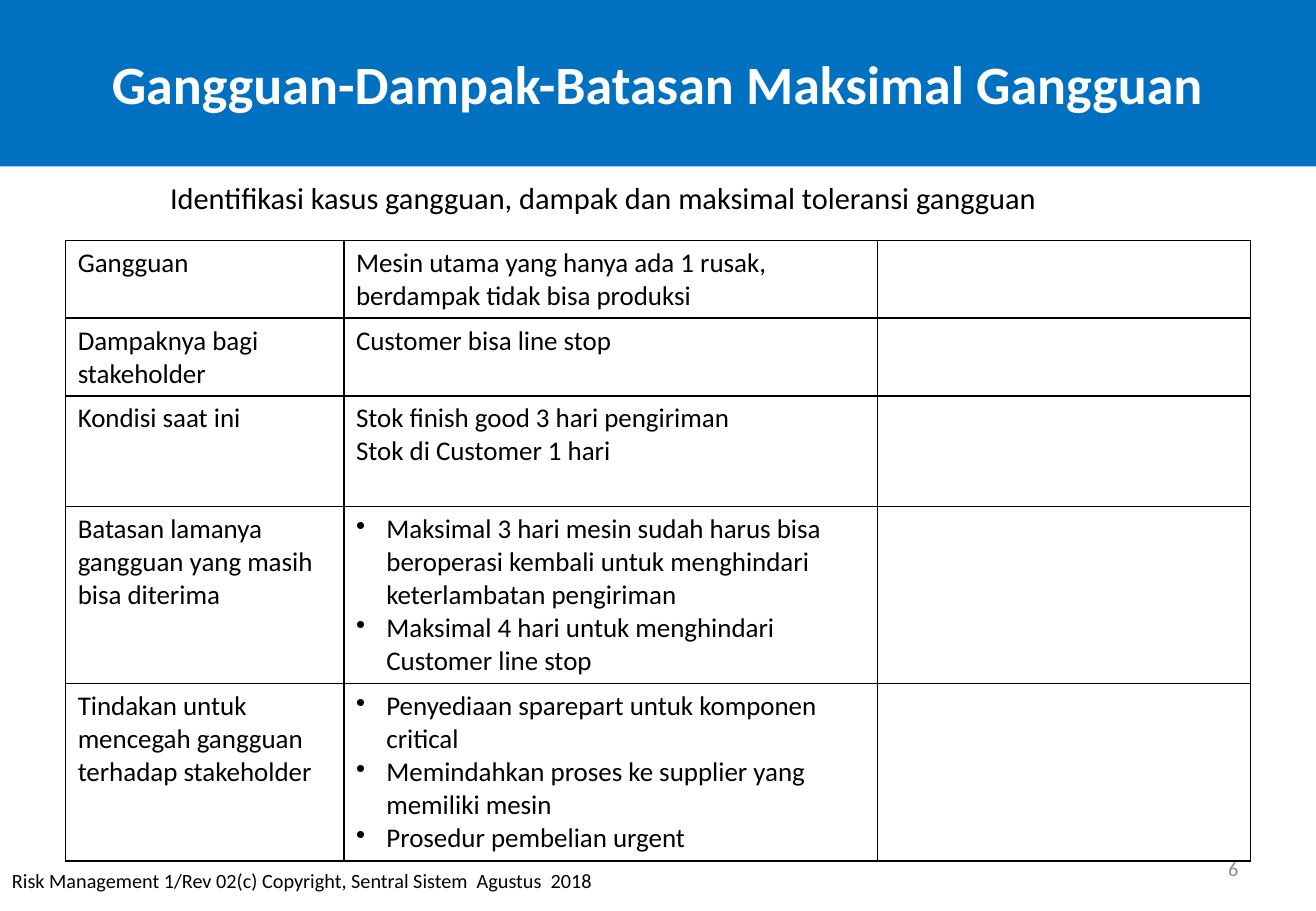
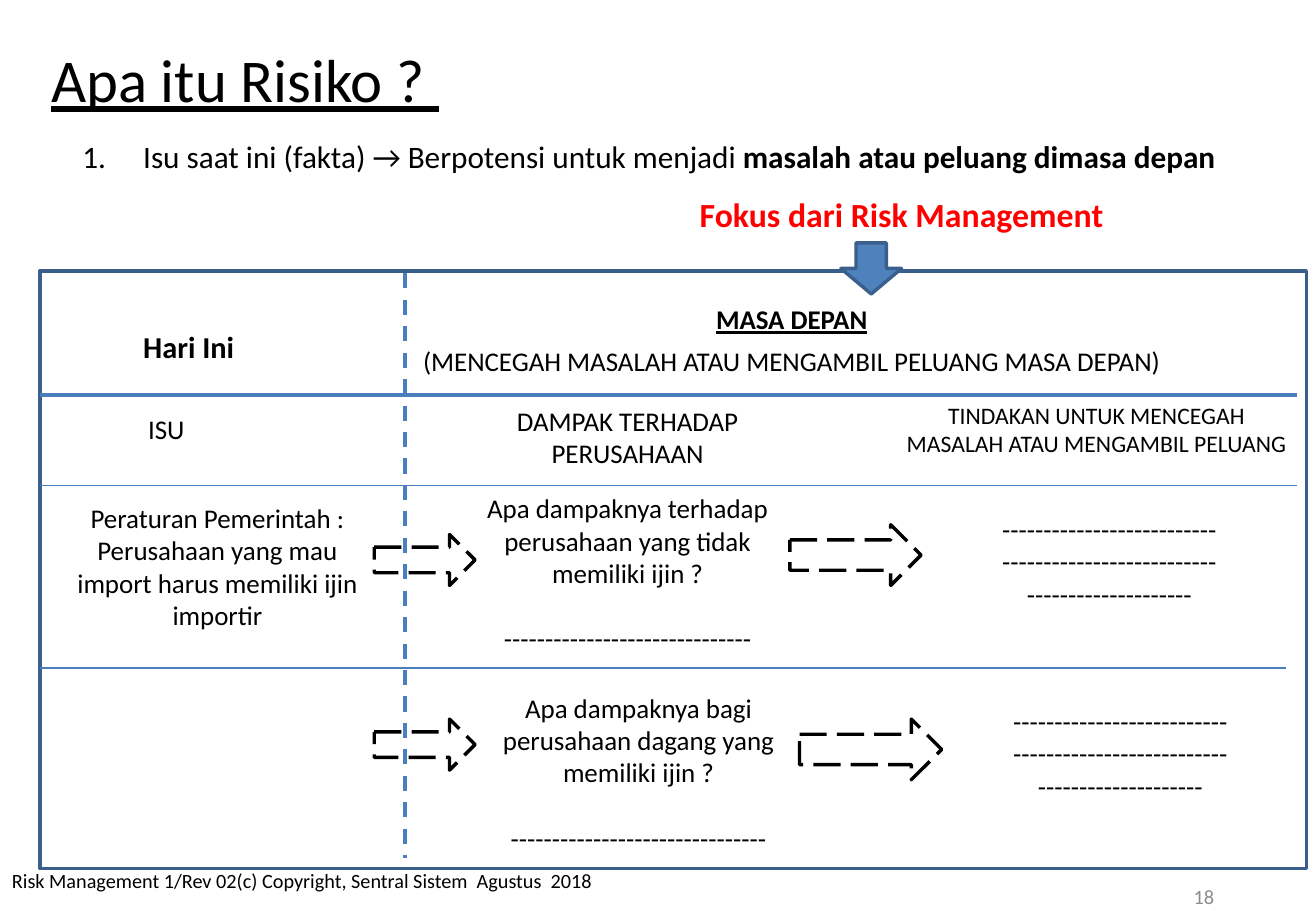
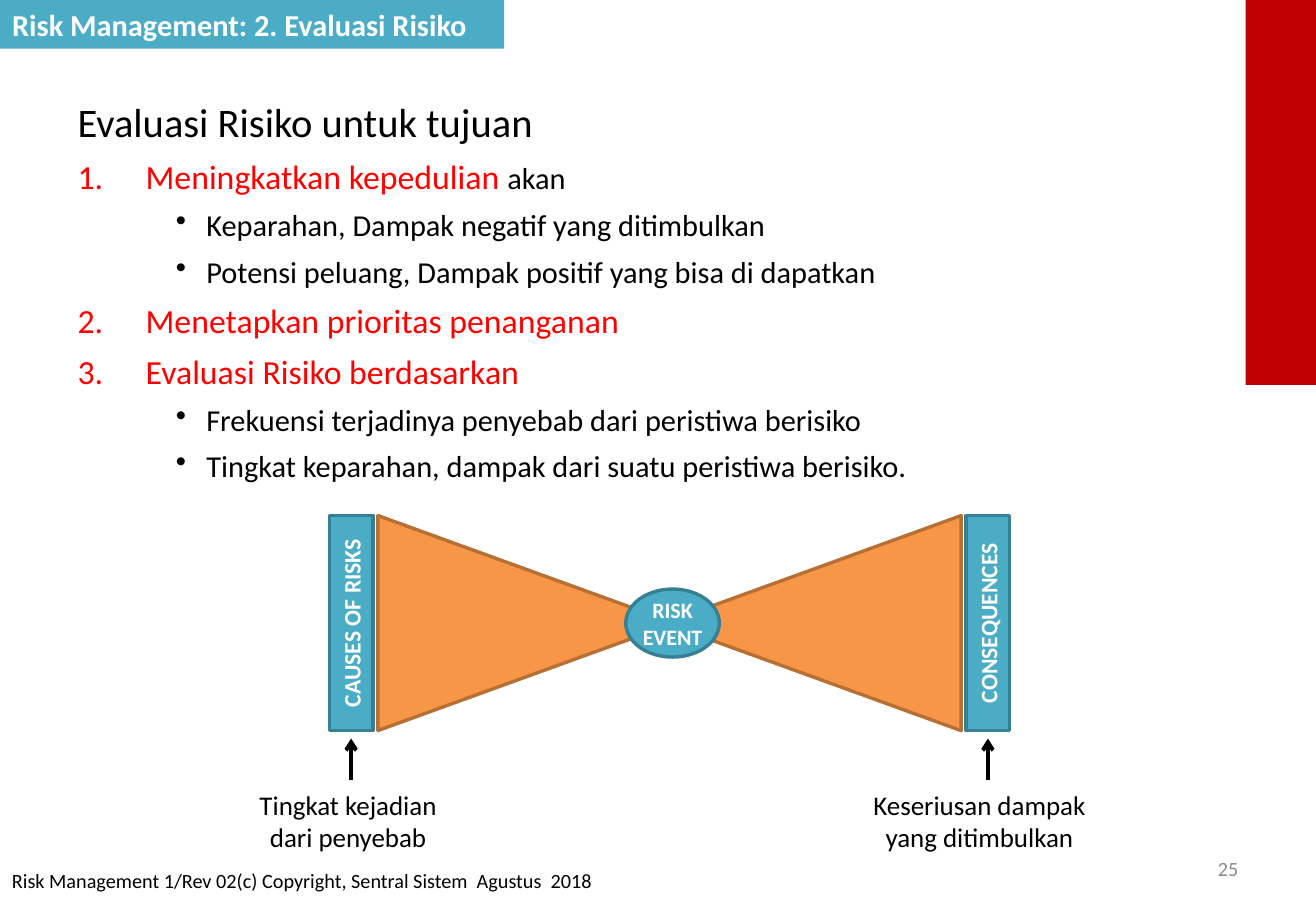
"""Build three risk management training slides."""
from lxml import etree
from pptx import Presentation
from pptx import util as u
from pptx.dml.color import RGBColor
from pptx.enum import dml, shapes, text
from pptx.oxml import ns

BLACK = RGBColor(0, 0, 0)
WHITE = RGBColor(255, 255, 255)
GREY = RGBColor(0x8C, 0x8C, 0x8C)
RED = RGBColor(255, 0, 0)
WINE = RGBColor(0xC0, 0, 0)
BLUE = RGBColor(0, 0x70, 0xC0)
STEEL = RGBColor(0x4F, 0x81, 0xBD)
NAVY = RGBColor(0x3A, 0x5F, 0x8C)
RULE = RGBColor(0x4B, 0x7E, 0xBC)
TEAL = RGBColor(0x4B, 0xAC, 0xC6)
DEEP = RGBColor(0x37, 0x7F, 0x92)
ORANGE = RGBColor(0xF7, 0x96, 0x46)
BROWN = RGBColor(0xB7, 0x6F, 0x34)

FONT = "Calibri"
FOOT = "Risk Management 1/Rev 02(c) Copyright, Sentral Sistem  Agustus  2018"
MID = text.PP_ALIGN.CENTER
RIGHT = text.PP_ALIGN.RIGHT
LEFT = text.PP_ALIGN.LEFT
KIND = shapes.MSO_SHAPE
DASH = dml.MSO_LINE
WIDE, HIGH = 10.83, 7.5

DOT = {"mark": "•", "left": 0.25, "hang": -0.25}
SUB = {"mark": "•", "left": 1.06, "hang": -0.25, "level": 1, "before": 6}
NUM = {"mark": "1.", "left": 0.56, "hang": -0.56, "before": 6}
ITEM = {"mark": "1.", "left": 0.5, "hang": -0.5}
HOT = {"size": 20, "color": RED}

COLS = [2.29, 4.39, 3.07]
ROWS = [0.64, 0.64, 0.91, 1.46, 1.46]
CASES = [
    ("Gangguan", ["Mesin utama yang hanya ada 1 rusak, berdampak tidak bisa produksi"]),
    ("Dampaknya bagi stakeholder", ["Customer bisa line stop"]),
    ("Kondisi saat ini", ["Stok finish good 3 hari pengiriman", "Stok di Customer 1 hari"]),
    ("Batasan lamanya gangguan yang masih bisa diterima", [
        ("Maksimal 3 hari mesin sudah harus bisa beroperasi kembali untuk "
         "menghindari keterlambatan pengiriman", DOT),
        ("Maksimal 4 hari untuk menghindari Customer line stop", DOT)]),
    ("Tindakan untuk mencegah gangguan terhadap stakeholder", [
        ("Penyediaan sparepart untuk komponen critical", DOT),
        ("Memindahkan proses ke supplier yang memiliki mesin", DOT),
        ("Prosedur pembelian urgent", DOT)]),
]

GAP = {"before": 19.5}
AFTER = {"after": 6}
LABELS = [
    ((1.12, 3.35, 1, 0.37), ["ISU"], {"align": LEFT}),
    ((1.08, 2.65, 1.5, 0.4), ["Hari Ini"], {"align": LEFT, "size": 18, "bold": True}),
    ((3.34, 2.44, 6.35, 0.72), [
        ([("MASA DEPAN", {"bold": True, "underline": True})], AFTER),
        ("(MENCEGAH MASALAH ATAU MENGAMBIL PELUANG MASA DEPAN)", AFTER)], {}),
    ((3.83, 3.28, 2.67, 0.64), ["DAMPAK TERHADAP PERUSAHAAN"], {}),
    ((7.31, 3.25, 3.43, 0.57),
     ["TINDAKAN UNTUK MENCEGAH MASALAH ATAU MENGAMBIL PELUANG"], {"size": 14}),
    ((0.51, 4.08, 2.56, 1.18),
     ["Peraturan Pemerintah : Perusahaan yang mau import harus memiliki ijin importir"], {}),
    ((3.83, 4, 2.67, 1.45),
     ["Apa dampaknya terhadap perusahaan yang tidak memiliki ijin ?", ("-" * 30, GAP)], {}),
    ((3.92, 5.64, 2.67, 1.45),
     ["Apa dampaknya bagi perusahaan dagang yang memiliki ijin ?", ("-" * 31, GAP)], {}),
    ((8.13, 4.17, 2, 0.91), ["-" * 72], {}),
    ((8.22, 5.75, 2, 0.91), ["-" * 72], {}),
    ((2.75, 1.58, 9.34, 0.5), [("Fokus dari Risk Management", {"spacing": 0.9})],
     {"size": 20, "bold": True, "color": RED}),
]
ARROWS = [(3.08, 4.4, 0.83, 0.42), (3.08, 5.92, 0.83, 0.42),
          (6.5, 4.32, 1.08, 0.5), (6.58, 5.92, 1.17, 0.5)]
RULES = [(3.25, 10.67, 2.25), (4, 10.67, 0.75), (5.5, 10.58, 0.75)]

GOALS = [
    ([("Evaluasi Risiko untuk tujuan", {"size": 24})], {}),
    ([("Meningkatkan kepedulian ", HOT), ("akan", {})], NUM),
    ("Keparahan, Dampak negatif yang ditimbulkan", SUB),
    ("Potensi peluang, Dampak positif yang bisa di dapatkan", SUB),
    ([("Menetapkan prioritas penanganan", HOT)], NUM),
    ([("Evaluasi Risiko berdasarkan", HOT)], NUM),
    ("Frekuensi terjadinya penyebab dari peristiwa berisiko", SUB),
    ("Tingkat keparahan, dampak dari suatu peristiwa berisiko.", SUB),
]
AXIS, LEVEL = 5.51, 5.13
WINGS = [
    (-1, "CAUSES OF RISKS", ["Tingkat kejadian", "dari penyebab"], (1.7, 2.33)),
    (1, "CONSEQUENCES", ["Keseriusan dampak", "yang ditimbulkan"], (6.67, 2.78)),
]


def inch(nums):
    return [u.Inches(n) for n in nums]


def mark(par, opts):
    props = par._p.get_or_add_pPr()
    props.set("marL", str(u.Inches(opts["left"])))
    props.set("indent", str(u.Inches(opts["hang"])))
    if opts["mark"] == "1.":
        etree.SubElement(props, ns.qn("a:buAutoNum")).set("type", "arabicPeriod")
    else:
        etree.SubElement(props, ns.qn("a:buChar")).set("char", opts["mark"])


def write(frame, paras, align=LEFT, **base):
    frame.word_wrap = True
    for i, item in enumerate(paras):
        runs, opts = (item, {}) if isinstance(item, str) else item
        par = frame.paragraphs[0] if i == 0 else frame.add_paragraph()
        par.alignment = align
        par.level = opts.get("level", 0)
        if "spacing" in opts:
            par.line_spacing = opts["spacing"]
        for key in ("before", "after"):
            if key in opts:
                setattr(par, "space_" + key, u.Pt(opts[key]))
        if "mark" in opts:
            mark(par, opts)
        for words, own in [(runs, {})] if isinstance(runs, str) else runs:
            run = par.add_run()
            run.text = words
            form = {"name": FONT, "size": 16, "color": BLACK, **base, **own}
            run.font.color.rgb = form.pop("color")
            form["size"] = u.Pt(form["size"])
            for key, val in form.items():
                setattr(run.font, key, val)


def label(slide, at, paras, anchor=text.MSO_ANCHOR.TOP, **form):
    box = slide.shapes.add_textbox(*inch(at))
    box.text_frame.vertical_anchor = anchor
    write(box.text_frame, paras, **form)


def block(slide, kind, at, fill=None, line=None, dash=None):
    shape = slide.shapes.add_shape(kind, *inch(at))
    shape.shadow.inherit = False
    if fill is None:
        shape.fill.background()
    else:
        shape.fill.solid()
        shape.fill.fore_color.rgb = fill
    if line is None:
        shape.line.fill.background()
    else:
        shape.line.color.rgb = line
        shape.line.width = u.Pt(2)
    if dash:
        shape.line.dash_style = dash
    return shape


def inside(shape, paras, size, wrap=True):
    frame = shape.text_frame
    frame.vertical_anchor = text.MSO_ANCHOR.MIDDLE
    for side in ("left", "right", "top", "bottom"):
        setattr(frame, "margin_" + side, 0)
    write(frame, paras, MID, size=size, bold=True, color=WHITE)
    frame.word_wrap = wrap


def rule(slide, ends, color, width, dash=None, arrow=False):
    line = slide.shapes.add_connector(shapes.MSO_CONNECTOR.STRAIGHT, *inch(ends))
    line.line.color.rgb = color
    line.line.width = u.Pt(width)
    if dash:
        line.line.dash_style = dash
    if arrow:
        etree.SubElement(line.line._get_or_add_ln(), ns.qn("a:tailEnd")).set("type", "arrow")
    etree.SubElement(line.element.spPr, ns.qn("a:effectLst"))


def page(deck, title, at, number, spot, fill=None, **form):
    slide = deck.slides.add_slide(deck.slide_layouts[5])
    head = slide.shapes.title
    head.left, head.top, head.width, head.height = inch(at)
    if fill is not None:
        head.fill.solid()
        head.fill.fore_color.rgb = fill
    frame = head.text_frame
    frame.auto_size = text.MSO_AUTO_SIZE.NONE
    frame.vertical_anchor = text.MSO_ANCHOR.MIDDLE
    write(frame, [title], **form)
    label(slide, (0, 7.1, 6.42, 0.4), [FOOT], size=12)
    label(slide, (*spot, 2.53, 0.4), [str(number)], text.MSO_ANCHOR.MIDDLE,
          align=RIGHT, size=12, color=GREY)
    return slide


def border(cell):
    props = cell._tc.get_or_add_tcPr()
    for side in "LRTB":
        edge = etree.SubElement(props, ns.qn("a:ln" + side), w=str(u.Pt(1)))
        fill = etree.SubElement(edge, ns.qn("a:solidFill"))
        etree.SubElement(fill, ns.qn("a:srgbClr"), val=str(BLACK))
    cell.fill.background()


def limits(deck):
    slide = page(deck, "Gangguan-Dampak-Batasan Maksimal Gangguan", (0, 0, WIDE, 1.37),
                 6, (7.76, 6.95), BLUE, align=MID, size=32, bold=True, color=WHITE)
    label(slide, (1.23, 1.43, 7.47, 0.4),
          ["Identifikasi kasus gangguan, dampak dan maksimal toleransi gangguan"],
          align=MID, size=18)
    at = (0.54, 1.98, sum(COLS), sum(ROWS))
    table = slide.shapes.add_table(len(ROWS), len(COLS), *inch(at)).table
    table.first_row = table.horz_banding = False
    for col, width in zip(table.columns, COLS):
        col.width = u.Inches(width)
    for row, height, (name, paras) in zip(table.rows, ROWS, CASES):
        row.height = u.Inches(height)
        for cell, lines in zip(row.cells, ([name], paras, [])):
            border(cell)
            write(cell.text_frame, lines)


def risk(deck):
    slide = page(deck, "Apa itu Risiko ? ", (0.32, -0.08, 9.34, 1.45),
                 18, (7.56, 7.18), size=36, underline=True)
    label(slide, (0.58, 1.08, 9.89, 0.5), [(
        [("Isu saat ini (fakta) → Berpotensi untuk menjadi ", {}),
         ("masalah atau peluang dimasa depan", {"bold": True})], ITEM)], size=18.5)
    block(slide, KIND.RECTANGLE, (0.33, 2.23, 10.42, 4.92), line=NAVY)
    rule(slide, (3.33, 2.25, 3.33, 7.06), RULE, 2.25, DASH.DASH)
    for top, end, width in RULES:
        rule(slide, (0.33, top, end, top), RULE, width)
    for at in ARROWS:
        block(slide, KIND.RIGHT_ARROW, at, line=BLACK, dash=DASH.LONG_DASH)
    block(slide, KIND.DOWN_ARROW, (6.92, 2, 0.5, 0.42), STEEL, NAVY)
    for at, paras, form in LABELS:
        label(slide, at, paras, **{"align": MID, **form})


def value(deck):
    slide = page(deck, "Risk Management: 2. Evaluasi Risiko", (0, 0, 4.15, 0.4),
                 25, (7.76, 6.95), TEAL, size=18, bold=True, color=WHITE)
    block(slide, KIND.RECTANGLE, (10.25, 0, 0.58, 3.17), WINE)
    label(slide, (0.54, 0.75, 9.5, 3.32), GOALS, size=18)
    tall, long, slim = 1.77, 2.44, 0.36
    for side, name, note, (left, width) in WINGS:
        mid = AXIS + side * 1.18
        wing = block(slide, KIND.ISOSCELES_TRIANGLE,
                     (mid - tall / 2, LEVEL - long / 2, tall, long), ORANGE, BROWN)
        wing.rotation = -side * 90 % 360
        mid = AXIS + side * 2.62
        bar = block(slide, KIND.RECTANGLE,
                    (mid - slim / 2, LEVEL - tall / 2, slim, tall), TEAL, DEEP)
        inside(bar, [name], 14)
        bar.element.txBody.bodyPr.set("vert", "vert270")
        rule(slide, (mid, 6.42, mid, 6.08), BLACK, 2.25, arrow=True)
        label(slide, (left, 6.44, width, 0.64), note, align=MID)
    event = block(slide, KIND.OVAL, (5.15, 4.85, 0.77, 0.56), TEAL, DEEP)
    inside(event, ["RISK", "EVENT"], 13, wrap=False)


def main():
    deck = Presentation()
    deck.slide_width, deck.slide_height = inch((WIDE, HIGH))
    for build in (limits, risk, value):
        build(deck)
    deck.save("out.pptx")


if __name__ == "__main__":
    main()
